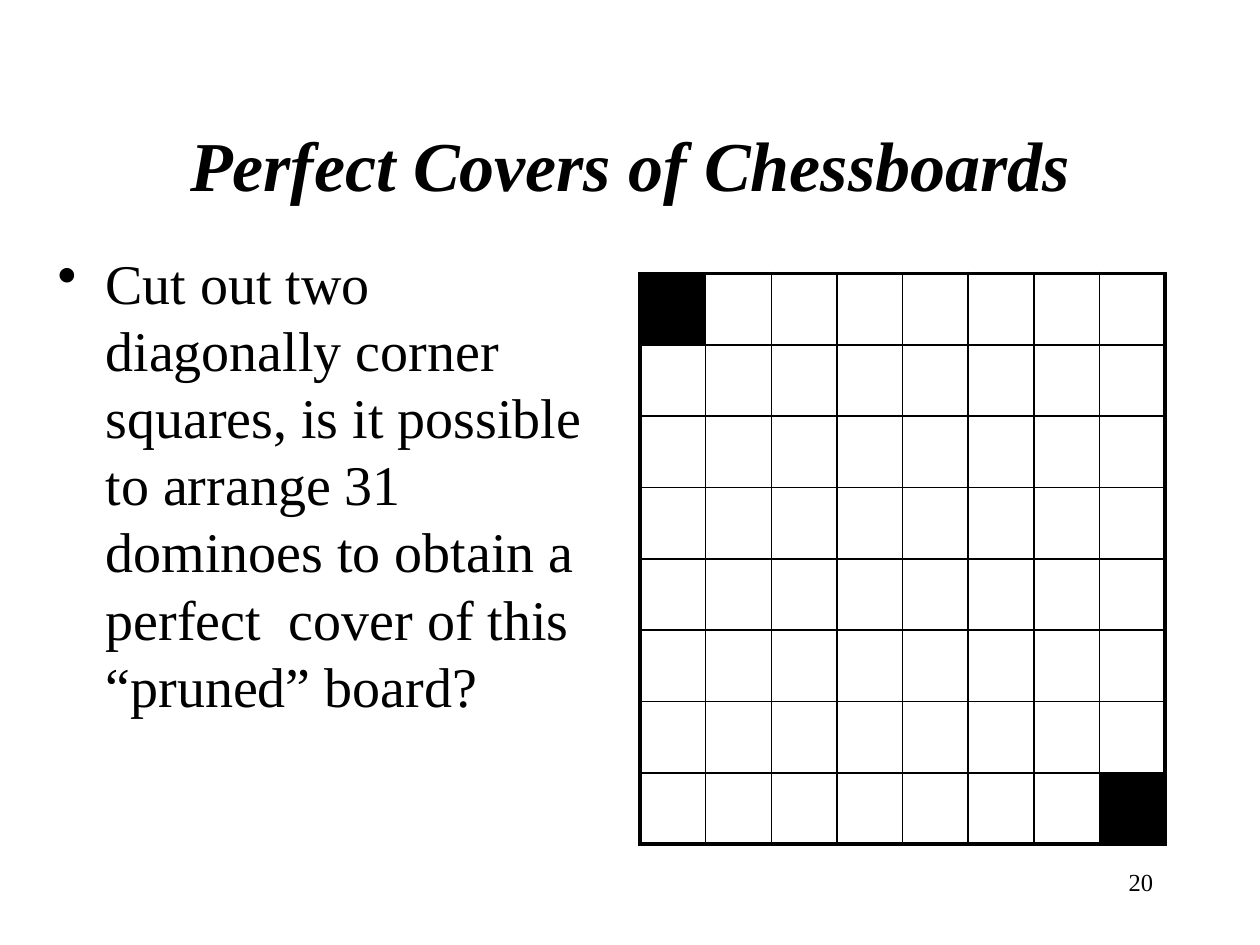
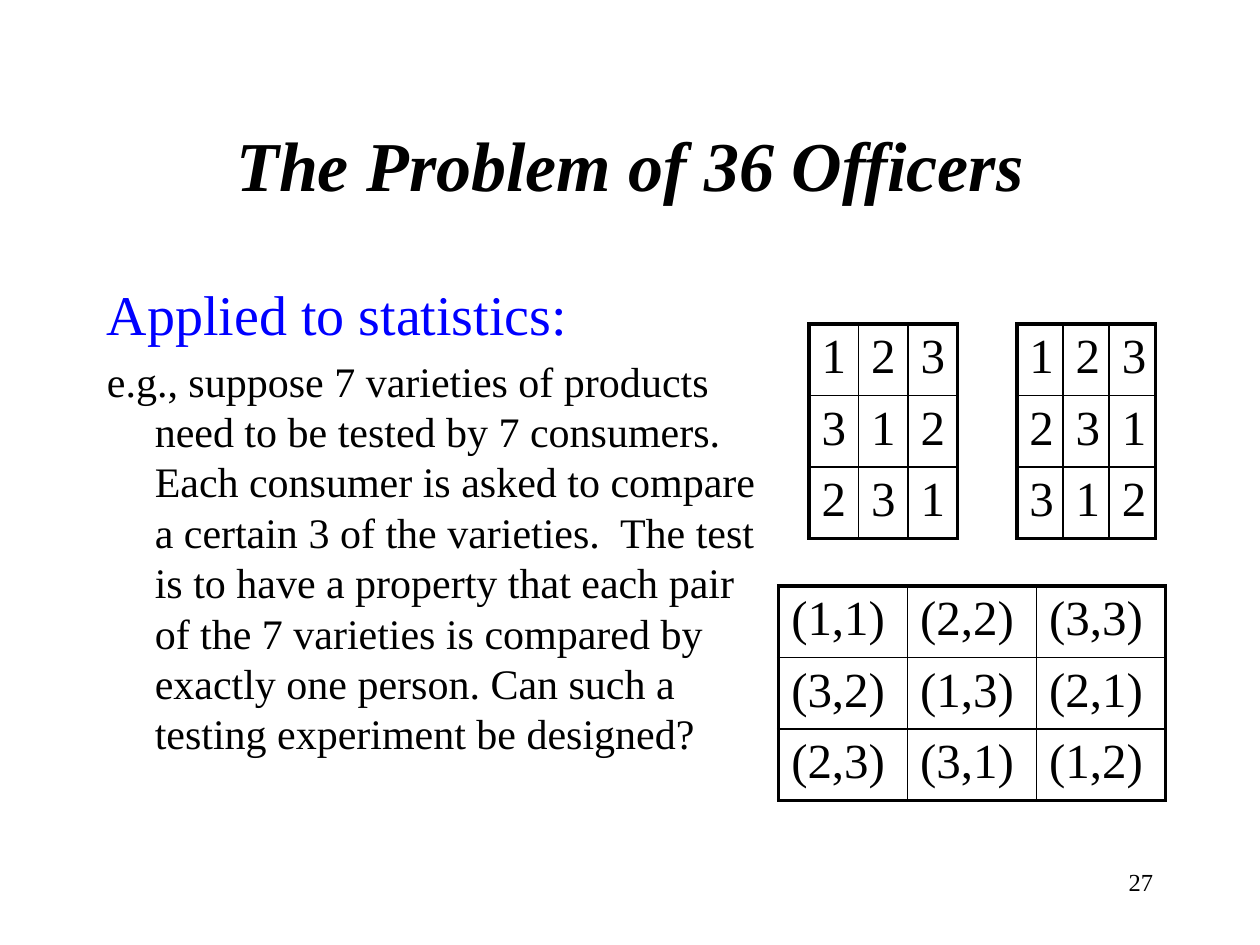
from pptx import Presentation
from pptx.dml.color import RGBColor
from pptx.enum.text import MSO_ANCHOR as Anchor, PP_ALIGN as Align
from pptx.oxml import parse_xml
from pptx.oxml.ns import nsdecls
from pptx.util import Inches, Pt

BLACK = RGBColor(0x00, 0x00, 0x00)
WHITE = RGBColor(0xFF, 0xFF, 0xFF)
BLUE = RGBColor(0x00, 0x00, 0xFF)
FONT = "Times New Roman"
LEADING = 1.2
HANGING = 0.38
ROW_HEIGHT = 4.53 / 8
THIN, THICK = 1, 2.25


class Deck:
    def __init__(self):
        self.prs = Presentation()
        self.prs.slide_width, self.prs.slide_height = Inches(10), Inches(7.5)
        self.s = None

    def slide(self, title, number):
        self.s = self.prs.slides.add_slide(self.prs.slide_layouts[6])
        fill = self.s.background.fill
        fill.solid()
        fill.fore_color.rgb = WHITE
        p = self.text_frame(7.17, 6.83, 2.08, 0.5).paragraphs[0]
        self.run(p, number, 14, leading=True)
        p.alignment = Align.RIGHT
        tf = self.text_frame(0.75, 0.67, 8.5, 1.25)
        tf.vertical_anchor = Anchor.MIDDLE
        p = tf.paragraphs[0]
        r = self.run(p, title, 40, leading=True)
        r.font.bold = r.font.italic = True
        p.alignment = Align.CENTER

    def text_frame(self, left, top, width, height):
        sp = self.s.shapes.add_textbox(*map(Inches, (left, top, width, height)))
        sp.text_frame.word_wrap = True
        return sp.text_frame

    def run(self, p, text, size, color=BLACK, leading=False):
        r = p.add_run()
        r.text = text
        r.font.name, r.font.size, r.font.color.rgb = FONT, Pt(size), color
        if leading:
            p.line_spacing = Pt(LEADING * size)
        return r

    def body(self, left, top, width, height, paragraphs, bullet=None):
        """Add hanging paragraphs, each given as (text, size, color)."""
        tf = self.text_frame(left, top, width, height)
        for i, (text, size, color) in enumerate(paragraphs):
            p = tf.add_paragraph() if i else tf.paragraphs[0]
            self.run(p, text, size, color, leading=True)
            if i:
                p.space_before = Pt(0.2 * size)
            pPr = p._p.get_or_add_pPr()
            pPr.set("marL", str(Inches(HANGING)))
            pPr.set("indent", str(-Inches(HANGING)))
            if bullet:
                pPr.append(parse_xml(f'<a:buChar {nsdecls("a")} char="{bullet}"/>'))

    def grid(self, left, top, width, rows, filled=()):
        """Add a table with a thick frame; filled holds (row, column) of black cells."""
        n_rows, n_cols = len(rows), len(rows[0])
        table = self.s.shapes.add_table(
            n_rows, n_cols, Inches(left), Inches(top),
            Inches(width), Inches(ROW_HEIGHT * n_rows)).table
        table.first_row = table.horz_banding = False
        for col in table.columns:
            col.width = Inches(width / n_cols)
        for i, row in enumerate(rows):
            for j, text in enumerate(row):
                cell = table.cell(i, j)
                on_frame = {"L": j == 0, "R": j == n_cols - 1,
                            "T": i == 0, "B": i == n_rows - 1}
                for side, thick in on_frame.items():
                    self.border(cell, side, THICK if thick else THIN)
                if (i, j) in filled:
                    cell.fill.solid()
                    cell.fill.fore_color.rgb = BLACK
                else:
                    cell.fill.background()
                if text:
                    self.run(cell.text_frame.paragraphs[0], text, 28)

    def border(self, cell, side, width):
        cell._tc.get_or_add_tcPr().append(parse_xml(
            f'<a:ln{side} {nsdecls("a")} w="{Pt(width)}"><a:solidFill>'
            f'<a:srgbClr val="{BLACK}"/></a:solidFill></a:ln{side}>'))


def chessboard_slide(deck):
    deck.slide("Perfect Covers of Chessboards", "20")
    deck.grid(5.08, 2.17, 4.17, [[""] * 8] * 8, filled={(0, 0), (7, 7)})
    deck.body(0.36, 1.92, 4.48, 4.5, [
        ("Cut out two diagonally corner squares, is it possible to arrange 31 "
         "dominoes to obtain a perfect  cover of this “pruned” board?", 32, BLACK),
    ], bullet="•")


def officers_slide(deck):
    deck.slide("The Problem of 36 Officers", "27")
    deck.body(0.75, 2.17, 5.51, 4.5, [
        ("Applied to statistics:", 32, BLUE),
        ("e.g., suppose 7 varieties of products need to be tested by 7 consumers. "
         "Each consumer is asked to compare a certain 3 of the varieties.  The test "
         "is to have a property that each pair of the 7 varieties is compared by "
         "exactly one person. Can such a testing experiment be designed?", 24, BLACK),
    ])
    first_square = ["123", "312", "231"]
    second_square = ["123", "231", "312"]
    paired_square = [[f"({a},{b})" for a, b in zip(*pair)]
                     for pair in zip(first_square, second_square)]
    deck.grid(6.42, 2.57, 1.18, first_square)
    deck.grid(8.07, 2.57, 1.1, second_square)
    deck.grid(6.18, 4.65, 3.07, paired_square)


def main():
    deck = Deck()
    chessboard_slide(deck)
    officers_slide(deck)
    deck.prs.save("out.pptx")


if __name__ == "__main__":
    main()
